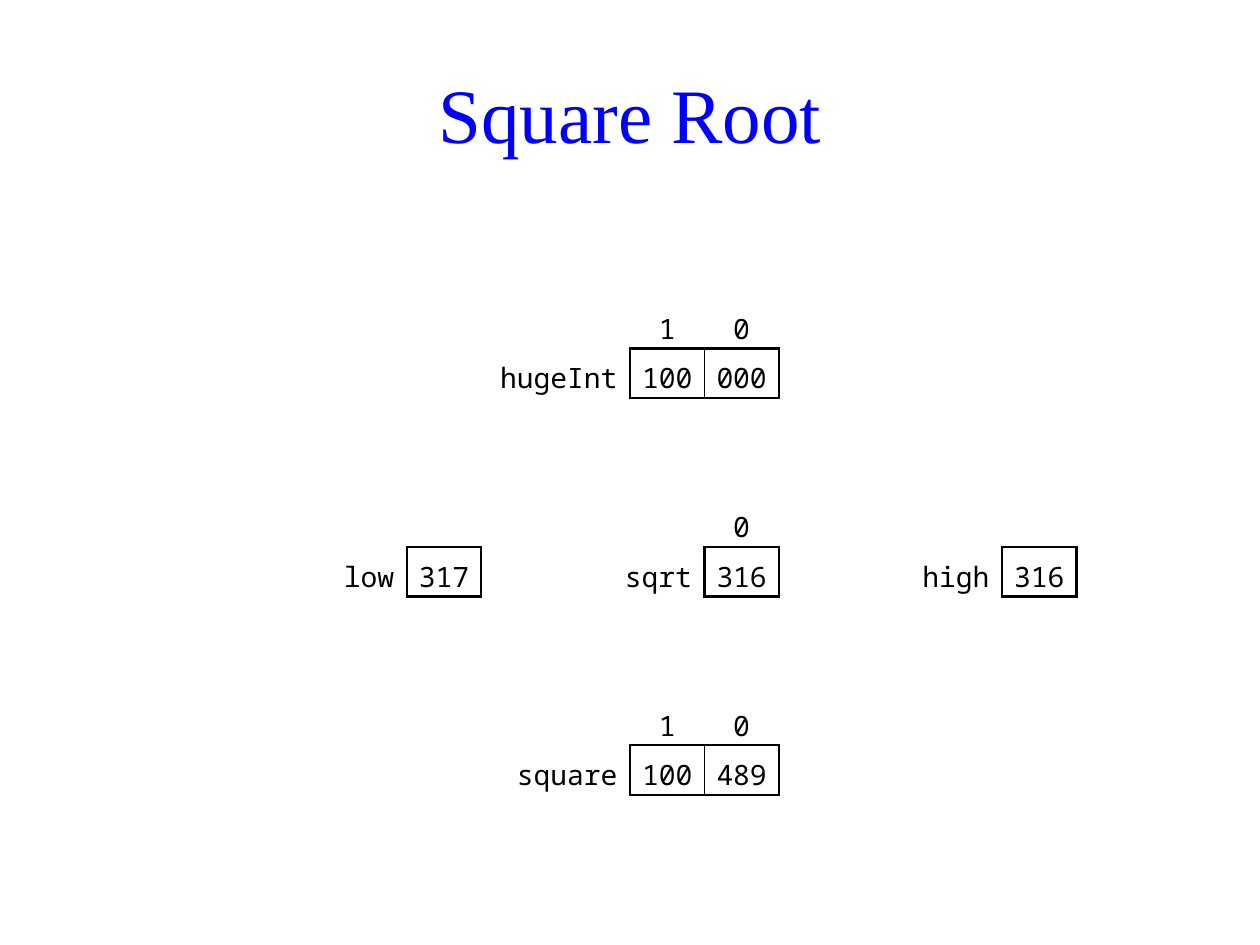
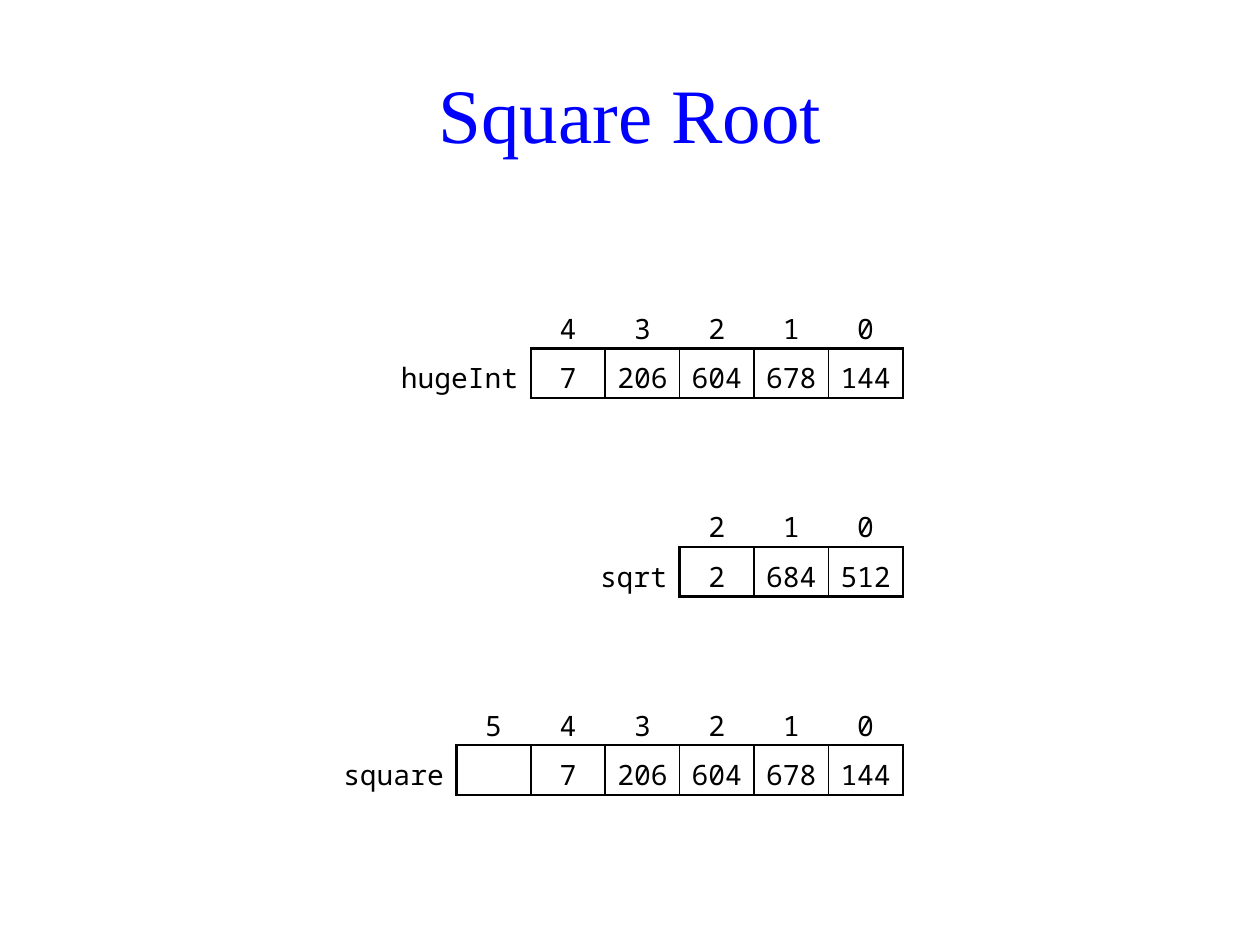
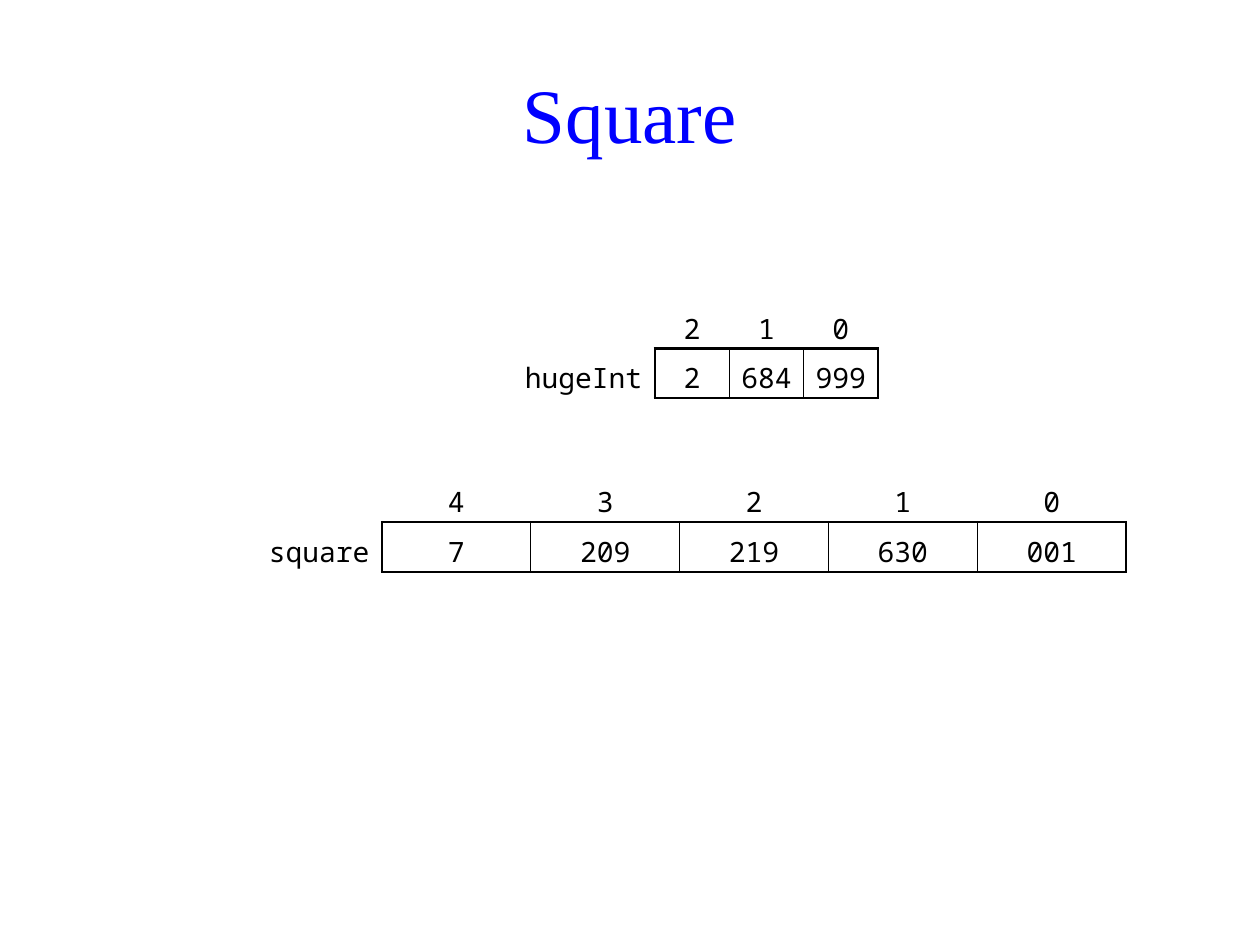
from lxml.etree import SubElement
from pptx import Presentation
from pptx.dml.color import RGBColor
from pptx.enum.text import MSO_ANCHOR as Anchor, PP_ALIGN as Align
from pptx.oxml.ns import qn
from pptx.util import Inches, Mm, Pt

UNIT = Mm(5)
GRID_LEFT, GRID_TOP = Mm(2), Mm(0.25)
ROW_UNITS = 2
INK, TITLE_BLUE = "000000", "0000FF"
THICK, THIN = 1.5, 0.75
PLAIN_TABLE_STYLE = "{2D5ABB26-0587-4C30-8999-92F81FD0307C}"
LABEL_UNITS = {"hugeInt": 6, "square": 5, "sqrt": 4, "low": 4, "high": 4}

# Each number: label, right edge and top of its digit groups in grid units,
# group width in units, groups, index row shown, count of thick dividers
SLIDES = [
    ("Square Root", [
        ("hugeInt", 31, 14, 3, ["100", "000"], True, 0),
        ("square", 31, 30, 3, ["100", "489"], True, 0),
        ("sqrt", 31, 22, 3, ["316"], True, 0),
        ("low", 19, 22, 3, ["317"], False, 0),
        ("high", 43, 22, 3, ["316"], False, 0),
    ]),
    ("Square Root", [
        ("hugeInt", 36, 14, 3, ["7", "206", "604", "678", "144"], True, 1),
        ("square", 36, 30, 3, ["", "7", "206", "604", "678", "144"], True, 2),
        ("sqrt", 36, 22, 3, ["2", "684", "512"], True, 1),
    ]),
    ("Square", [
        ("square", 45, 21, 6, ["7", "209", "219", "630", "001"], True, 0),
        ("hugeInt", 35, 14, 3, ["2", "684", "999"], True, 0),
    ]),
]


def style_font(font, name, size, color):
    font.name, font.size = name, Pt(size)
    font.color.rgb = RGBColor.from_string(color)


def fill_cell(cell, text, align=Align.CENTER, right_margin=0, **borders):
    """Write one cell; borders maps the sides L, R, T, B to widths in points."""
    cell.margin_left = cell.margin_top = cell.margin_bottom = 0
    cell.margin_right = Inches(right_margin)
    cell.vertical_anchor = Anchor.MIDDLE
    paragraph = cell.text_frame.paragraphs[0]
    paragraph.text = text
    paragraph.alignment, paragraph.line_spacing = align, 1.25
    style_font(paragraph.font, "Noto Sans Mono", 16, INK)
    properties = cell._tc.get_or_add_tcPr()
    for side in "LRTB":
        if side in borders:
            line = SubElement(properties, qn(f"a:ln{side}"), w=str(Pt(borders[side])))
            SubElement(SubElement(line, qn("a:solidFill")), qn("a:srgbClr"), val=INK)
    cell.fill.background()


prs = Presentation()
prs.slide_width, prs.slide_height = Inches(10), Inches(7.5)
title_only = prs.slide_layouts[5]

for heading, numbers in SLIDES:
    slide = prs.slides.add_slide(title_only)
    title = slide.shapes.title
    title.left, title.top = GRID_LEFT + 2 * UNIT, GRID_TOP + 2 * UNIT
    title.width, title.height = 46 * UNIT, 5 * UNIT
    title.text_frame.text = heading
    title.text_frame.vertical_anchor = Anchor.MIDDLE
    title_line = title.text_frame.paragraphs[0]
    title_line.alignment = Align.CENTER
    style_font(title_line.font, "Times New Roman", 44, TITLE_BLUE)

    for label, right, top, group_units, groups, indexed, thick_dividers in numbers:
        column_units = [LABEL_UNITS[label]] + [group_units] * len(groups)
        rows = 2 if indexed else 1
        value_row = rows - 1
        width = sum(column_units)
        frame = slide.shapes.add_table(
            rows, len(column_units),
            GRID_LEFT + (right - width) * UNIT,
            GRID_TOP + (top - value_row * ROW_UNITS) * UNIT,
            width * UNIT, rows * ROW_UNITS * UNIT)
        number = frame.table
        number._tbl.tblPr.find(qn("a:tableStyleId")).text = PLAIN_TABLE_STYLE
        number.first_row = number.horz_banding = False
        for column, units in zip(number.columns, column_units):
            column.width = units * UNIT

        fill_cell(number.cell(value_row, 0), label, Align.RIGHT, 0.1, R=THICK)
        if indexed:
            fill_cell(number.cell(0, 0), "")
        dividers = [THICK if i <= thick_dividers or i == len(groups) else THIN
                    for i in range(len(groups) + 1)]
        for position, group in enumerate(groups):
            if indexed:
                index = str(len(groups) - 1 - position)
                fill_cell(number.cell(0, position + 1), index, B=THICK)
            fill_cell(number.cell(value_row, position + 1), group,
                      L=dividers[position], R=dividers[position + 1], T=THICK, B=THICK)

prs.save("out.pptx")
